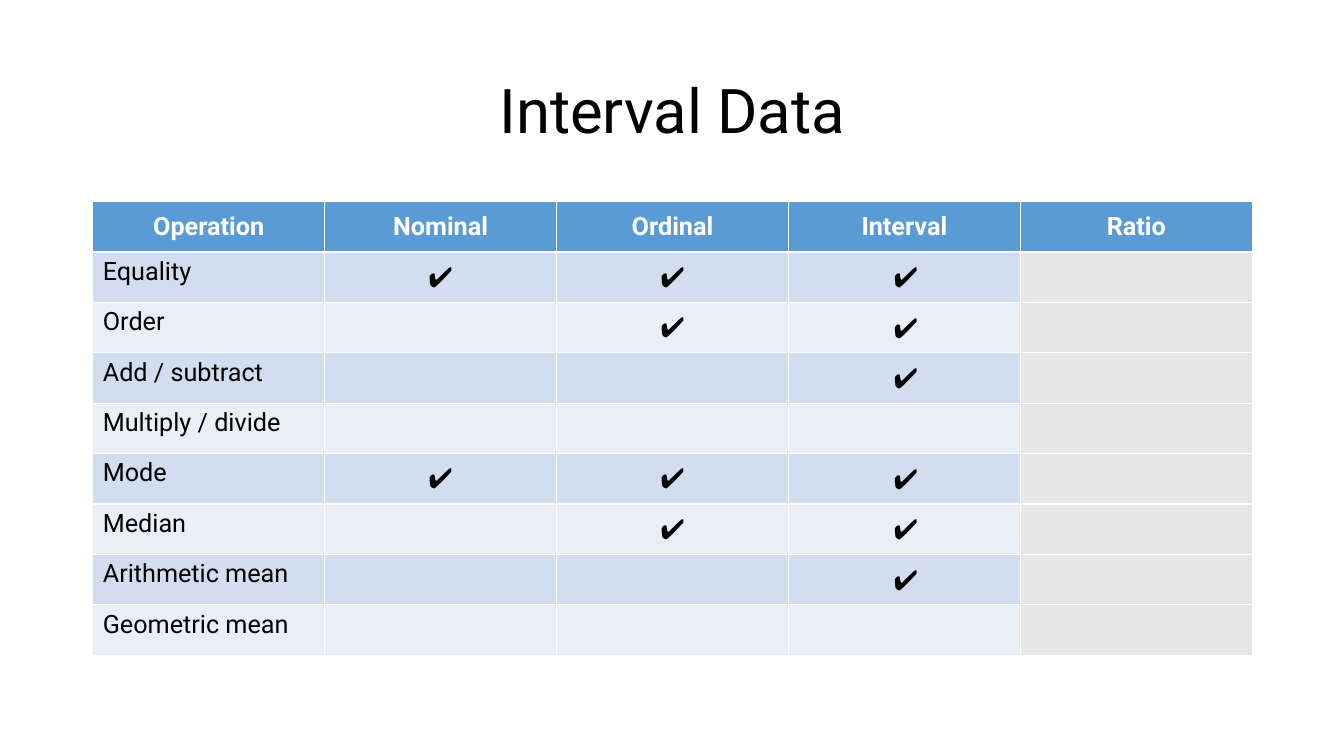
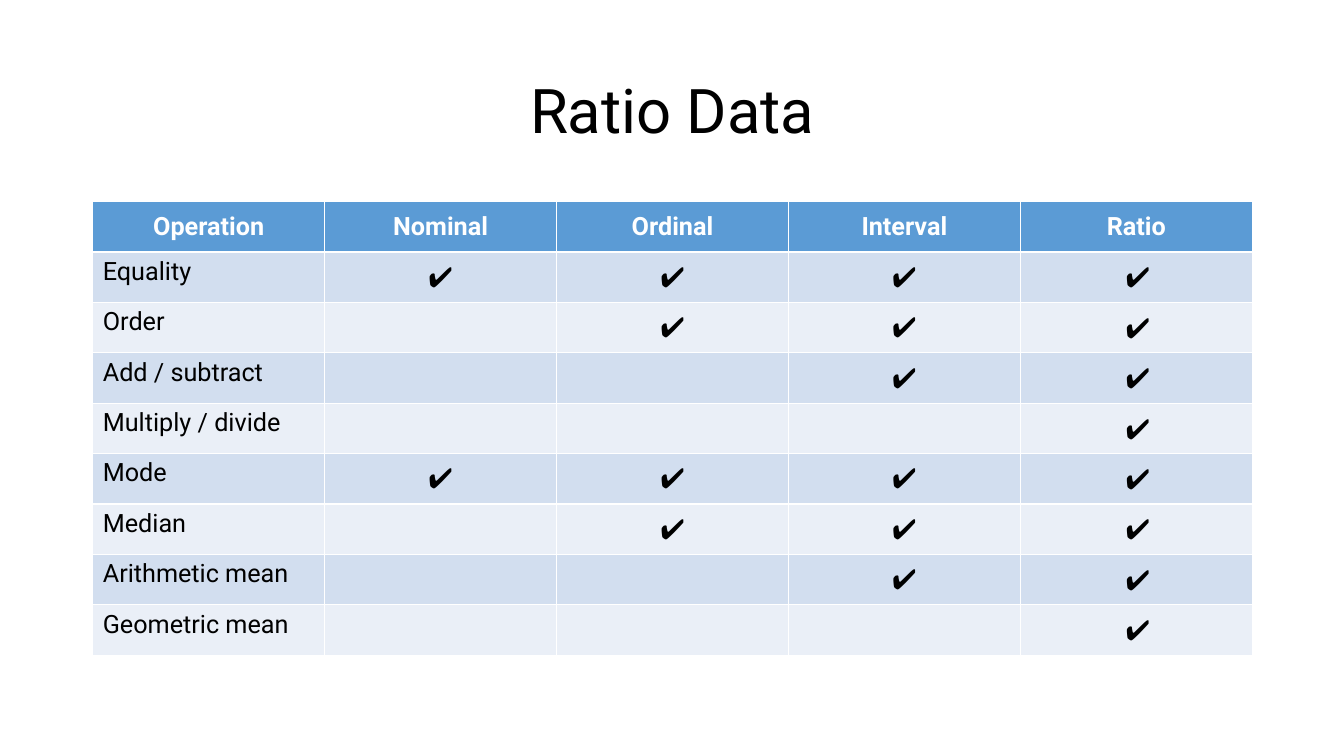
from pptx import Presentation
from pptx.dml.color import RGBColor
from pptx.enum.text import MSO_ANCHOR as ANCHOR, MSO_AUTO_SIZE as FIT, PP_ALIGN as ALIGN
from pptx.util import Inches, Pt

SCALES = ["Nominal", "Ordinal", "Interval", "Ratio"]
# Each operation with the first scale that supports it
OPERATIONS = [
    ("Equality", "Nominal"),
    ("Order", "Ordinal"),
    ("Add / subtract", "Interval"),
    ("Multiply / divide", "Ratio"),
    ("Mode", "Nominal"),
    ("Median", "Ordinal"),
    ("Arithmetic mean", "Interval"),
    ("Geometric mean", "Ratio"),
]
CHECK = "✔"
LEFT, TOP, COL_W, ROW_H = 0.92, 2, 2.3, 0.5
CHECK_W, CHECK_H = 0.43, 0.44

HEADER, BANDS, UNSEEN = "5B9BD5", ("D2DEEF", "EAEFF7"), "E7E6E6"
TITLE_FONT = {"name": "Roboto", "size": Pt(44), "color": "000000"}
HEADER_FONT = {"name": "Roboto", "size": Pt(18), "bold": True, "color": "FFFFFF"}
LABEL_FONT = {"name": "Roboto", "size": Pt(18), "bold": False, "color": "000000"}
CHECK_FONT = {"name": "Cabin", "size": Pt(20), "bold": False, "color": "000000"}


def rgb(value):
    return RGBColor.from_string(value)


class Deck:
    def __init__(self):
        self.prs = Presentation()
        self.prs.slide_width, self.prs.slide_height = Inches(13.33), Inches(7.5)
        self.slide = None

    def add_text(self, tf, text, font, align=ALIGN.CENTER):
        p = tf.paragraphs[0]
        p.alignment = align
        r = p.add_run()
        r.text = text
        for name, value in font.items():
            if name == "color":
                r.font.color.rgb = rgb(value)
            else:
                setattr(r.font, name, value)
        return p

    def add_slide(self, title):
        self.slide = self.prs.slides.add_slide(self.prs.slide_layouts[5])
        sp = self.slide.shapes.title
        sp.left, sp.top, sp.width, sp.height = map(Inches, (LEFT, 0.4, 11.5, 1.45))
        tf = sp.text_frame
        tf.auto_size, tf.vertical_anchor = FIT.NONE, ANCHOR.MIDDLE
        self.add_text(tf, title, TITLE_FONT).line_spacing = 0.9

    def cell(self, cell, fill, text="", font=LABEL_FONT, centred=True):
        cell.fill.solid()
        cell.fill.fore_color.rgb = rgb(fill)
        if text:
            cell.vertical_anchor = ANCHOR.MIDDLE if centred else ANCHOR.TOP
            self.add_text(cell.text_frame, text, font, ALIGN.CENTER if centred else ALIGN.LEFT)

    def check(self, row, col):
        """Place a loose check mark over the middle of a table cell."""
        x = LEFT + col * COL_W + (COL_W - CHECK_W) / 2 + 0.01
        y = TOP + row * ROW_H + (ROW_H - CHECK_H) / 2
        sp = self.slide.shapes.add_textbox(*map(Inches, (x, y, CHECK_W, CHECK_H)))
        tf = sp.text_frame
        tf.word_wrap, tf.auto_size = False, FIT.SHAPE_TO_FIT_TEXT
        self.add_text(tf, CHECK, CHECK_FONT)

    def scale_table(self, current):
        """Tabulate the scales; the current one gets loose marks, later ones are grey."""
        rows, cols = len(OPERATIONS) + 1, len(SCALES) + 1
        frame = self.slide.shapes.add_table(
            rows, cols, *map(Inches, (LEFT, TOP, cols * COL_W, rows * ROW_H)))
        table = frame.table
        for col, text in enumerate(["Operation"] + SCALES):
            table.columns[col].width = Inches(COL_W)
            self.cell(table.cell(0, col), HEADER, text, HEADER_FONT)
        now = SCALES.index(current) + 1
        for row, (operation, first) in enumerate(OPERATIONS, 1):
            band = BANDS[(row - 1) % 2]
            start = SCALES.index(first) + 1
            self.cell(table.cell(row, 0), band, operation, centred=False)
            for col in range(1, cols):
                mark = CHECK if start <= col < now else ""
                fill = UNSEEN if col > now else band
                self.cell(table.cell(row, col), fill, mark, CHECK_FONT)
            if start <= now:
                self.check(row, now)


def main():
    deck = Deck()
    for scale in ("Interval", "Ratio"):
        deck.add_slide(f"{scale} Data")
        deck.scale_table(scale)
    deck.prs.save("out.pptx")


if __name__ == "__main__":
    main()
